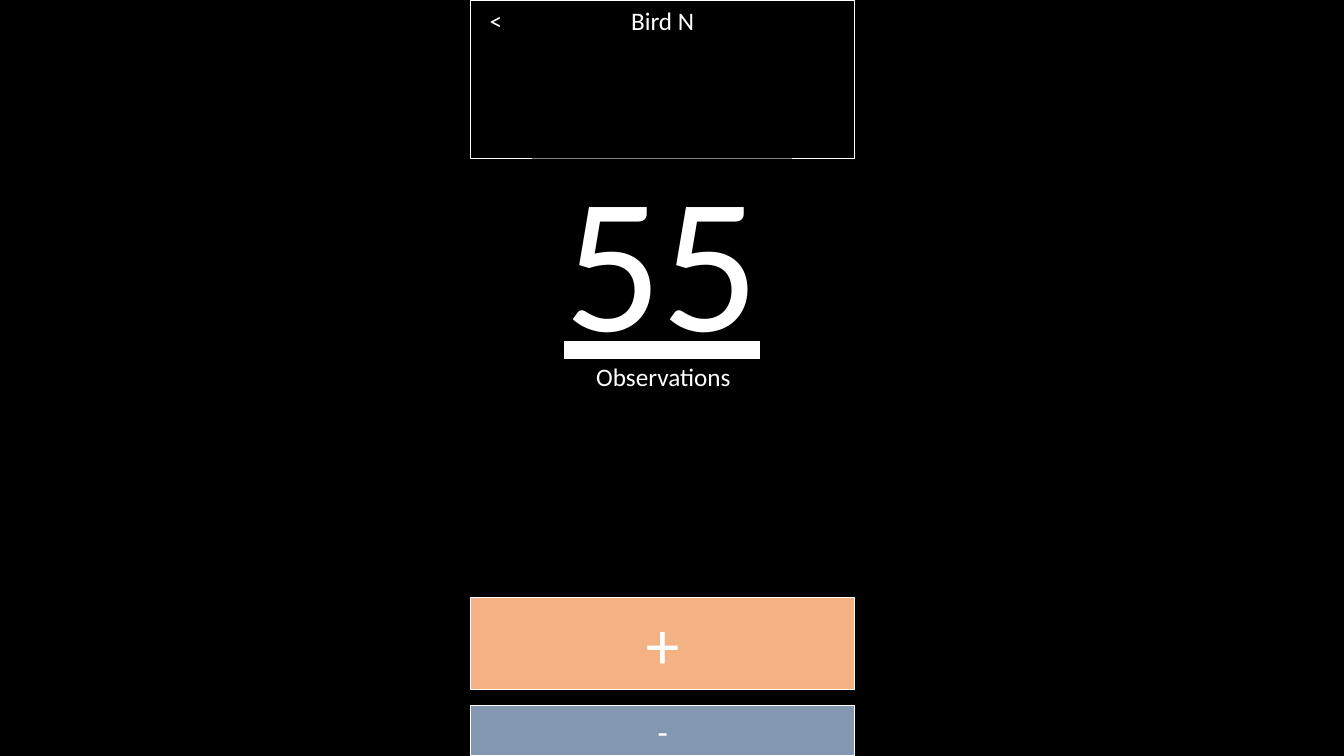
from lxml import etree
from pptx import Presentation
from pptx.dml.color import RGBColor
from pptx.enum import shapes, text
from pptx.oxml.ns import qn
from pptx.util import Cm, Pt

WHITE = RGBColor(0xFF, 0xFF, 0xFF)
BLACK = RGBColor(0, 0, 0)
ORANGE = RGBColor(0xF4, 0xB1, 0x83)
BLUE = RGBColor(0x84, 0x97, 0xB0)

prs = Presentation()
prs.slide_width, prs.slide_height = Cm(33.87), Cm(19.05)
s = prs.slides.add_slide(prs.slide_layouts[5])
s.background.fill.solid()
s.background.fill.fore_color.rgb = BLACK


def write(sp, words, size=18, underline=None, anchor=text.MSO_ANCHOR.TOP,
          fit=text.MSO_AUTO_SIZE.SHAPE_TO_FIT_TEXT):
    tf = sp.text_frame
    tf.word_wrap = True
    tf.auto_size = fit
    tf.vertical_anchor = anchor
    tf.margin_left = tf.margin_right = Cm(0.25)
    tf.margin_top = tf.margin_bottom = Cm(0.13)
    p = tf.paragraphs[0]
    p.alignment = text.PP_ALIGN.CENTER
    r = p.add_run()
    r.text = words
    r.font.name = "Calibri"
    r.font.size = Pt(size)
    r.font.underline = underline
    r.font.color.rgb = WHITE


# Counter on a half-transparent panel
sp = s.shapes.add_shape(shapes.MSO_SHAPE.RECTANGLE, Cm(13.41), Cm(2.82), Cm(6.55), Cm(7.16))
sp.shadow.inherit = False
sp.fill.solid()
sp.fill.fore_color.rgb = BLACK
color = sp.fill._xPr.find(qn("a:solidFill"))[0]
etree.SubElement(color, qn("a:alpha")).set("val", "50000")
sp.line.fill.background()
write(sp, "55", size=138, underline=True, anchor=text.MSO_ANCHOR.MIDDLE,
      fit=text.MSO_AUTO_SIZE.NONE)

# Counter label
sp = s.shapes.add_textbox(Cm(13.67), Cm(8.97), Cm(6.1), Cm(1.03))
write(sp, "Observations")

# Plus and minus buttons
for words, top, height, size, fill in [("+", 15.06, 2.31, 48, ORANGE),
                                       ("-", 17.78, 1.27, 24, BLUE)]:
    sp = s.shapes.add_shape(shapes.MSO_SHAPE.RECTANGLE, Cm(11.86), Cm(top), Cm(9.68), Cm(height))
    sp.shadow.inherit = False
    sp.fill.solid()
    sp.fill.fore_color.rgb = fill
    sp.line.color.rgb = WHITE
    sp.line.width = Pt(0.75)
    write(sp, words, size=size)

# Title bar
title = s.shapes.title
title.left, title.top, title.width, title.height = Cm(11.86), Cm(0), Cm(9.68), Cm(1.03)
title.line.color.rgb = WHITE
title.line.width = Pt(0.75)
write(title, "Bird N")

# Back button
sp = s.shapes.add_textbox(Cm(11.86), Cm(0), Cm(1.27), Cm(1.03))
write(sp, "<")

prs.save("out.pptx")
